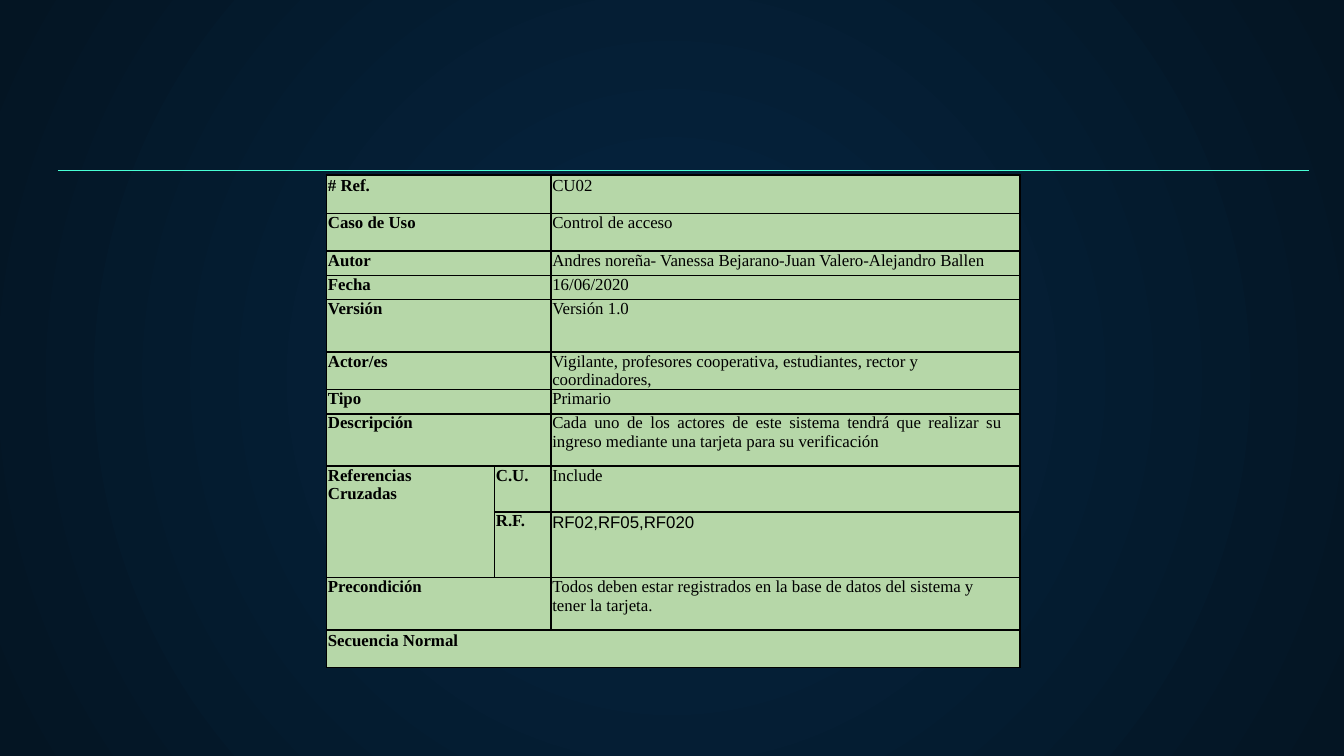
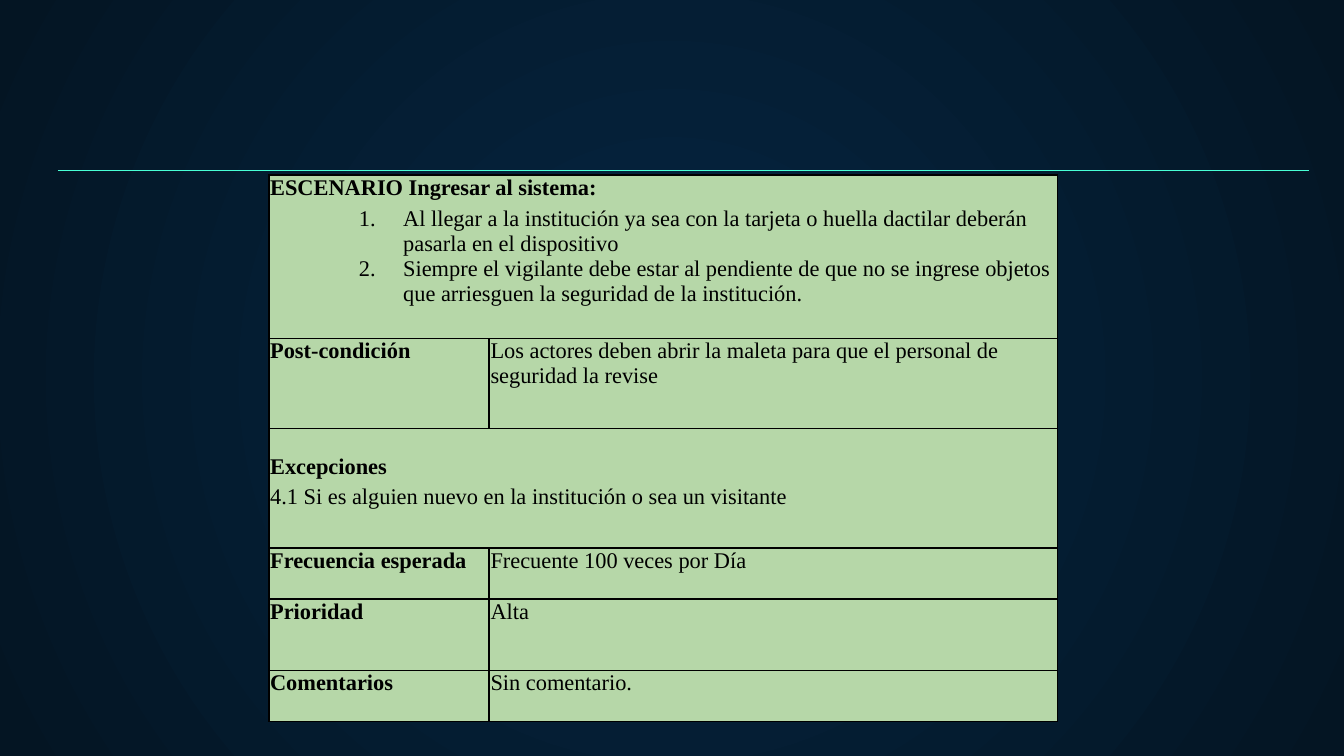
import pptx
import pptx.dml.color
import pptx.enum.shapes
import pptx.enum.text
import pptx.oxml
import pptx.oxml.ns
import pptx.util

LEFT, ABOVE = "merge left", "merge above"

TABLES = [
    {
        "left": 2.43,
        "size": 9,
        "right_margin": 0.14,
        "columns": [1.25, 0.42, 3.49],
        "rows": [
            (0.29, ["# Ref.", LEFT, "CU02"]),
            (0.28, ["Caso de Uso", LEFT, "Control de acceso"]),
            (0.18, ["Autor", LEFT, "Andres noreña- Vanessa Bejarano-Juan Valero-Alejandro Ballen"]),
            (0.18, ["Fecha", LEFT, "16/06/2020"]),
            (0.39, ["Versión", LEFT, "Versión 1.0"]),
            (0.28, ["Actor/es", LEFT, "Vigilante, profesores cooperativa, estudiantes, rector y coordinadores,"]),
            (0.18, ["Tipo", LEFT, "Primario"]),
            (0.39, ["Descripción", LEFT, [("justified", "Cada uno de los actores de este sistema tendrá que realizar su ingreso mediante una tarjeta para su verificación")]]),
            (0.34, [[("label", "Referencias"), ("label", "Cruzadas")], "C.U.", "Include"]),
            (0.49, [ABOVE, "R.F.", [("codes", "RF02,RF05,RF020")]]),
            (0.39, ["Precondición", LEFT, "Todos deben estar registrados en la base de datos del sistema y tener la tarjeta."]),
            (0.28, ["Secuencia Normal", LEFT, LEFT]),
        ],
        "top_margins": {0: 0.01, 11: 0.01},
    },
    {
        "left": 2,
        "size": 12,
        "right_margin": 0,
        "columns": [1.64, 4.23],
        "rows": [
            (1.22, [[
                ("heading", "ESCENARIO Ingresar al sistema:"),
                ("step", "Al llegar a la institución ya sea con la tarjeta o huella dactilar deberán pasarla en el dispositivo"),
                ("step", "Siempre el vigilante debe estar al pendiente de que no se ingrese objetos que arriesguen la seguridad de la institución."),
            ], LEFT]),
            (0.67, ["Post-condición", "Los actores deben abrir la maleta para que el personal de seguridad la revise"]),
            (0.89, [[
                ("heading", "Excepciones"),
                ("value", "4.1 Si es alguien nuevo en la institución o sea un visitante"),
            ], LEFT]),
            (0.38, ["Frecuencia esperada", "Frecuente 100 veces por Día"]),
            (0.53, ["Prioridad", "Alta"]),
            (0.38, ["Comentarios", "Sin comentario."]),
        ],
        "top_margins": {0: 0.01, 2: 0.19},
    },
]

COLORS = {
    "center": "052643",
    "edge": "041523",
    "rule": "48FFD5",
    "cell": "B6D7A8",
    "ink": "000000",
}
SERIF, SANS = "Times New Roman", "Arial"
STYLES = {
    "label": {"font": {"name": SERIF, "bold": True}},
    "heading": {"font": {"name": SERIF, "bold": True}, "paragraph": {"space_after": pptx.util.Pt(3)}},
    "value": {"font": {"name": SERIF, "bold": False}},
    "justified": {
        "font": {"name": SERIF, "bold": False},
        "paragraph": {"alignment": pptx.enum.text.PP_ALIGN.JUSTIFY},
    },
    "codes": {"font": {"name": SANS, "bold": False}, "paragraph": {"line_spacing": 1.08}},
    "step": {"font": {"name": SERIF, "bold": False}, "indent": (0.99, -0.33)},
}
SLIDE_WIDTH = 10
SLIDE_HEIGHT = SLIDE_WIDTH * 9 / 16
RULE_LEFT, RULE_RIGHT, RULE_TOP = 0.43, 9.74, 1.27
TABLE_TOP = 1.3
TEXT_INSET = 0.01
DRAWING = pptx.oxml.ns.nsdecls("a")
inches = pptx.util.Inches


def color(name):
    return pptx.dml.color.RGBColor.from_string(COLORS[name])


def set_attributes(target, values):
    for name, value in values.items():
        setattr(target, name, value)


def append_xml(parent, xml):
    parent.append(pptx.oxml.parse_xml(xml))


def paint_background(master):
    fill = master.background.fill
    fill.gradient()
    for stop, name, position in zip(fill.gradient_stops, ("center", "edge"), (0, 1)):
        stop.color.rgb = color(name)
        stop.position = position
    linear = next(master.element.iter(pptx.oxml.ns.qn("a:lin")))
    gradient = linear.getparent()
    gradient.remove(linear)
    append_xml(gradient, f'<a:path {DRAWING} path="circle">'
               '<a:fillToRect l="50000" t="50000" r="50000" b="50000"/></a:path>')


def add_rule(slide):
    rule = slide.shapes.add_connector(
        pptx.enum.shapes.MSO_CONNECTOR.STRAIGHT,
        inches(RULE_LEFT), inches(RULE_TOP), inches(RULE_RIGHT), inches(RULE_TOP))
    rule.line.color.rgb = color("rule")
    rule.line.width = pptx.util.Pt(0.75)
    append_xml(rule.element.spPr, f"<a:effectLst {DRAWING}/>")


def format_cell(cell, right_margin, top_margin):
    properties = cell._tc.get_or_add_tcPr()
    for side in "LRTB":
        append_xml(properties, f'<a:ln{side} {DRAWING} w="12700"><a:solidFill>'
                   f'<a:srgbClr val="{COLORS["ink"]}"/></a:solidFill></a:ln{side}>')
    cell.fill.solid()
    cell.fill.fore_color.rgb = color("cell")
    set_attributes(cell, {
        "margin_left": inches(TEXT_INSET),
        "margin_right": inches(right_margin),
        "margin_top": inches(top_margin),
        "margin_bottom": 0,
    })


def number_paragraph(paragraph, margin, indent):
    properties = paragraph._p.get_or_add_pPr()
    properties.set("marL", str(inches(margin)))
    properties.set("indent", str(inches(indent)))
    append_xml(properties, f'<a:buClr {DRAWING}><a:srgbClr val="{COLORS["ink"]}"/></a:buClr>')
    append_xml(properties, f'<a:buFont {DRAWING} typeface="{SERIF}"/>')
    append_xml(properties, f'<a:buAutoNum {DRAWING} type="arabicPeriod"/>')


def write_cell(cell, paragraphs, size):
    frame = cell.text_frame
    for index, (style_name, text) in enumerate(paragraphs):
        style = STYLES[style_name]
        paragraph = frame.add_paragraph() if index else frame.paragraphs[0]
        set_attributes(paragraph, style.get("paragraph", {}))
        if "indent" in style:
            number_paragraph(paragraph, *style["indent"])
        run = paragraph.add_run()
        run.text = text
        set_attributes(run.font, {**style["font"], "size": pptx.util.Pt(size)})
        run.font.color.rgb = color("ink")


def add_use_case_table(slide, content):
    columns = content["columns"]
    heights = [height for height, values in content["rows"]]
    grid = [values for height, values in content["rows"]]
    table = slide.shapes.add_table(
        len(grid), len(columns), inches(content["left"]), inches(TABLE_TOP),
        inches(sum(columns)), inches(sum(heights))).table
    set_attributes(table, {"first_row": False, "horz_banding": False})
    for column, width in zip(table.columns, columns):
        column.width = inches(width)
    for row, height in zip(table.rows, heights):
        row.height = inches(height)

    for row, values in enumerate(grid):
        for column, value in enumerate(values):
            cell = table.cell(row, column)
            format_cell(cell, content["right_margin"], content["top_margins"].get(row, 0))
            if value in (LEFT, ABOVE):
                continue
            last_row, last_column = row, column
            while last_column + 1 < len(columns) and values[last_column + 1] == LEFT:
                last_column += 1
            while last_row + 1 < len(grid) and grid[last_row + 1][column] == ABOVE:
                last_row += 1
            if (last_row, last_column) != (row, column):
                cell.merge(table.cell(last_row, last_column))
            if isinstance(value, str):
                value = [("value" if column == len(columns) - 1 else "label", value)]
            write_cell(cell, value, content["size"])


def main():
    presentation = pptx.Presentation()
    presentation.slide_width = inches(SLIDE_WIDTH)
    presentation.slide_height = inches(SLIDE_HEIGHT)
    paint_background(presentation.slide_master)
    blank_layout = presentation.slide_layouts.get_by_name("Blank")
    for content in TABLES:
        slide = presentation.slides.add_slide(blank_layout)
        add_use_case_table(slide, content)
        add_rule(slide)
    presentation.save("out.pptx")


if __name__ == "__main__":
    main()
